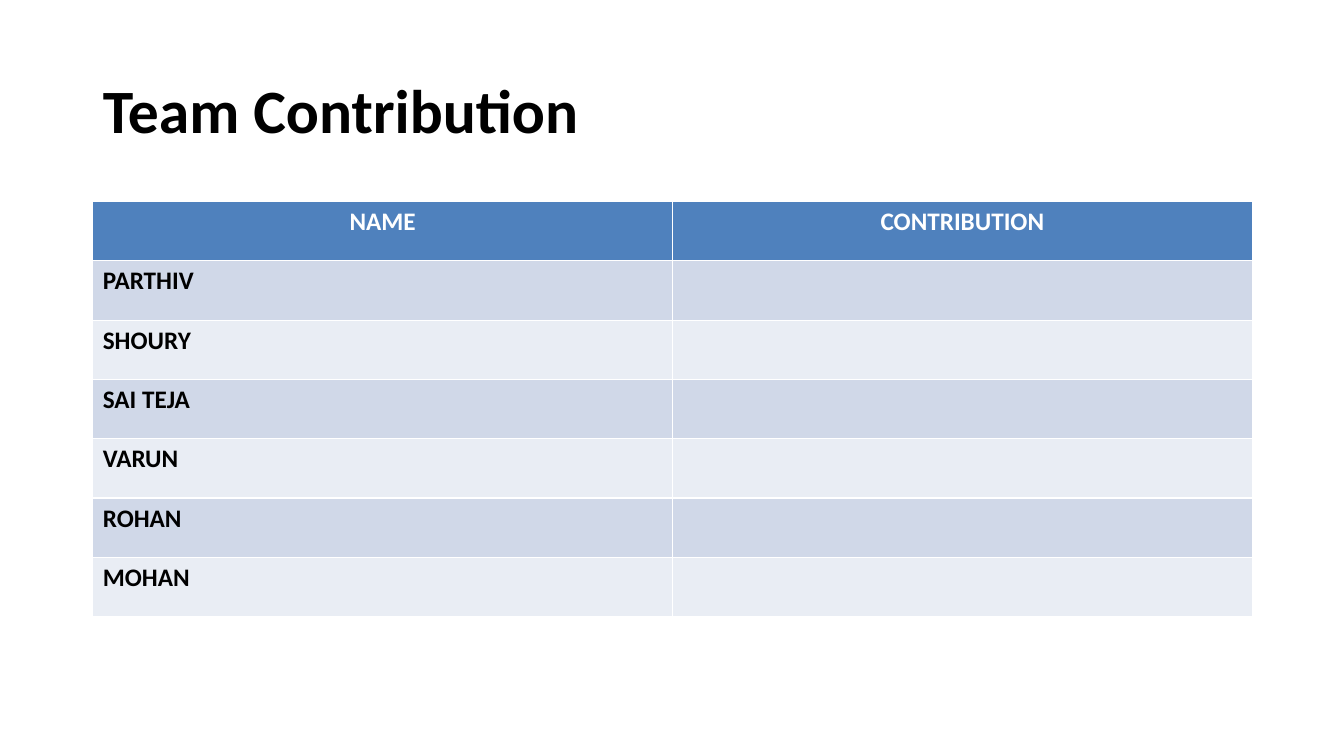
from dataclasses import dataclass

from pptx import Presentation
from pptx import util as u
from pptx.dml import color
from pptx.enum import text
from pptx.slide import Slide
from pptx.table import Table
from pptx.text.text import TextFrame

COLORS = {
    "ink": "000000",
    "header_text": "FFFFFF",
    "header": "4F81BD",
    "dark_band": "D0D8E8",
    "light_band": "E9EDF4",
}
FONT = "Calibri"
LEFT, WIDTH = u.Inches(0.92), u.Inches(11.5)


@dataclass(frozen=True)
class RowStyle:
    fill: str
    ink: str
    alignment: text.PP_ALIGN


HEADER = RowStyle("header", "header_text", text.PP_ALIGN.CENTER)
BANDS = [
    RowStyle("dark_band", "ink", text.PP_ALIGN.LEFT),
    RowStyle("light_band", "ink", text.PP_ALIGN.LEFT),
]
HEADINGS = ["NAME", "CONTRIBUTION"]
MEMBERS = ["PARTHIV", "SHOURY", "SAI TEJA", "VARUN", "ROHAN", "MOHAN"]


def write(frame: TextFrame, words: str, size: int, ink: str,
          alignment: text.PP_ALIGN) -> None:
    frame.text = words
    paragraph = frame.paragraphs[0]
    paragraph.alignment = alignment
    paragraph.font.name = FONT
    paragraph.font.size = u.Pt(size)
    paragraph.font.bold = True
    paragraph.font.color.rgb = color.RGBColor.from_string(COLORS[ink])


def add_title(slide: Slide, words: str) -> None:
    title = slide.shapes.title
    title.left, title.top = LEFT, u.Inches(0.4)
    title.width, title.height = WIDTH, u.Inches(1.45)
    frame = title.text_frame
    frame.vertical_anchor = text.MSO_ANCHOR.MIDDLE
    write(frame, words, 44, "ink", text.PP_ALIGN.LEFT)
    frame.paragraphs[0].line_spacing = 0.9


def fill_row(table: Table, row: int, words: list[str], style: RowStyle) -> None:
    for column, entry in enumerate(words):
        cell = table.cell(row, column)
        cell.fill.solid()
        cell.fill.fore_color.rgb = color.RGBColor.from_string(COLORS[style.fill])
        write(cell.text_frame, entry, 18, style.ink, style.alignment)


def add_team_table(slide: Slide) -> None:
    # The default table style supplies the white cell borders
    table = slide.shapes.add_table(
        len(MEMBERS) + 1, len(HEADINGS), LEFT, u.Inches(2), WIDTH, u.Inches(4.12)
    ).table
    fill_row(table, 0, HEADINGS, HEADER)
    for index, member in enumerate(MEMBERS):
        fill_row(table, index + 1, [member, ""], BANDS[index % len(BANDS)])


def main() -> None:
    presentation = Presentation()
    presentation.slide_width = u.Inches(13.33)
    presentation.slide_height = u.Inches(7.5)

    # Title Only layout
    slide = presentation.slides.add_slide(presentation.slide_layouts[5])
    add_title(slide, "Team Contribution")
    add_team_table(slide)
    presentation.save("out.pptx")


if __name__ == "__main__":
    main()
